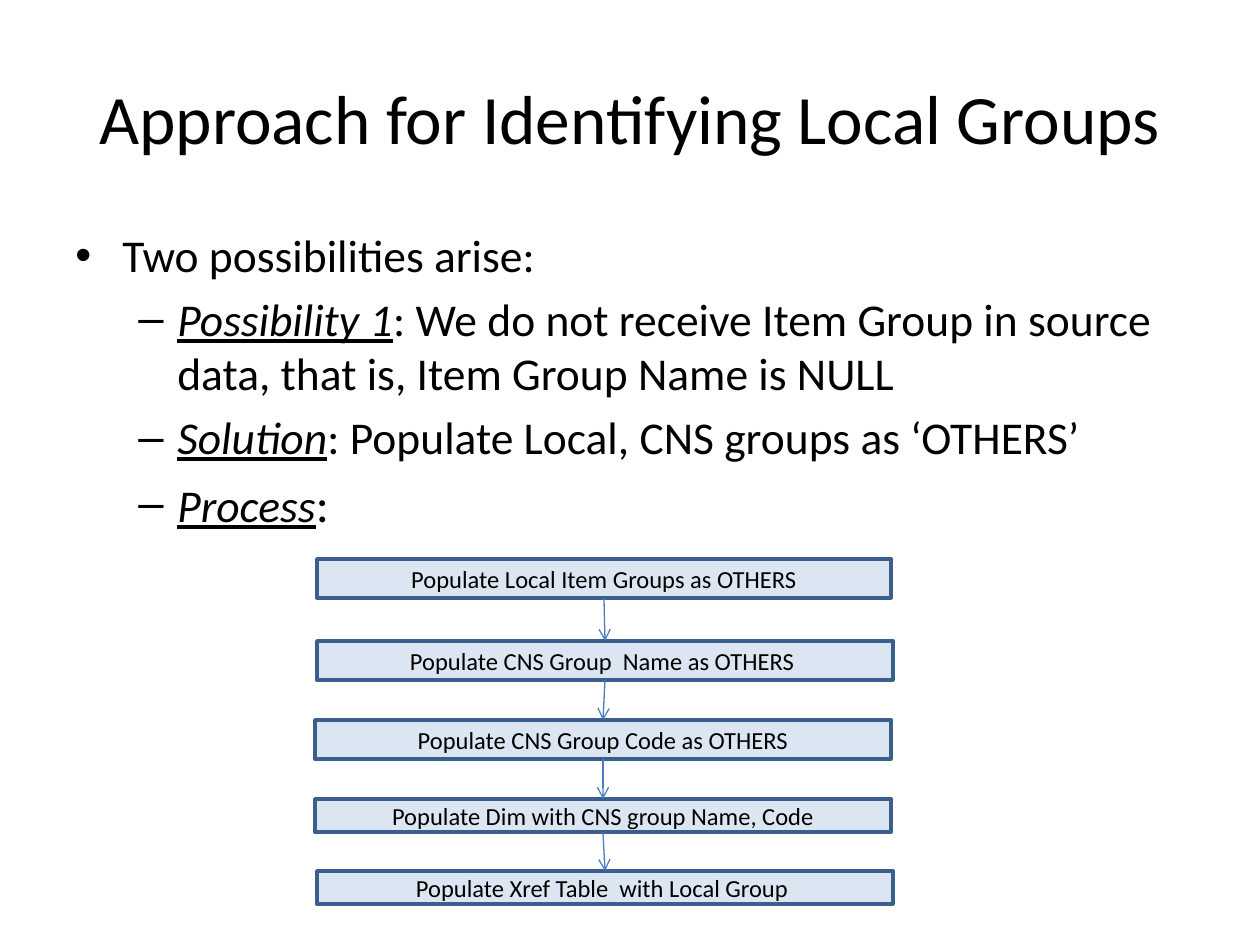
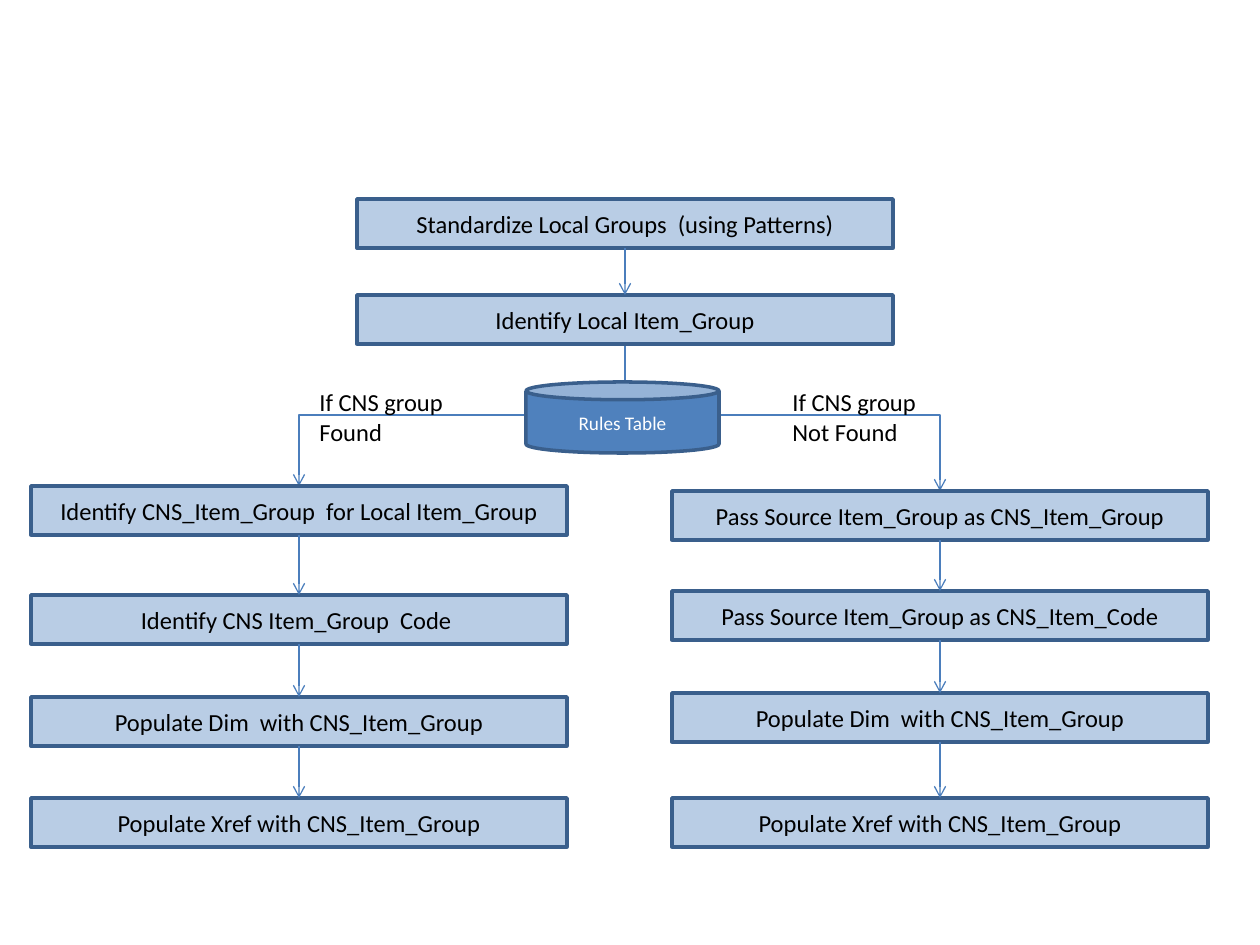
from dataclasses import dataclass
from itertools import pairwise

from lxml.etree import SubElement
from pptx import Presentation
from pptx.dml.color import RGBColor
from pptx.enum.shapes import MSO_CONNECTOR, MSO_SHAPE
from pptx.enum.text import MSO_ANCHOR, MSO_AUTO_SIZE, PP_ALIGN
from pptx.oxml.ns import qn
from pptx.util import Pt

PX = 914400 / 126


@dataclass(frozen=True)
class Theme:
    """Colours, font and type sizes shared by the slides."""
    font: str = "Calibri"
    ink: str = "000000"
    white: str = "FFFFFF"
    pale: str = "DCE6F2"
    soft: str = "B9CDE5"
    strong: str = "4F81BD"
    border: str = "3A5F8C"
    arrow: str = "4B7EBC"
    title: float = 39.6
    body: float = 26
    colon: float = 28
    step: float = 14
    store: float = 11
    border_width: float = 2
    arrow_width: float = 0.75


@dataclass(frozen=True)
class Box:
    """A place on the slide, in pixels."""
    x: int
    y: int
    w: int
    h: int

    def emu(self) -> list[int]:
        """Return left, top, width and height in EMU."""
        return [px(v) for v in (self.x, self.y, self.w, self.h)]


@dataclass(frozen=True)
class Step:
    """One process box of a flow."""
    text: str
    box: Box


@dataclass(frozen=True)
class Bullet:
    """One line of the body: a marked lead, then plain text."""
    lead: str
    text: str
    level: int = 1
    size: float = Theme.body


@dataclass(frozen=True)
class Level:
    """Bullet sign and indents of one outline level."""
    sign: str
    margin: int
    hanging: int


T = Theme()
LEVELS = (Level("•", 47, 47), Level("–", 102, 39))


def px(value: float) -> int:
    """Turn pixels into EMU."""
    return round(value * PX)


def apply(target, **values) -> None:
    """Set each given format value on the target."""
    for name, value in values.items():
        setattr(target, name, value)


def add_run(p, text: str, size: float, color: str = T.ink, **style) -> None:
    """Add a run of text in the theme font."""
    r = p.add_run()
    r.text = text
    apply(r.font, name=T.font, size=Pt(size), **style)
    r.font.color.rgb = RGBColor.from_string(color)


def add_box_text(slide, box: Box, **frame):
    """Add an empty text box and return its frame."""
    tf = slide.shapes.add_textbox(*box.emu()).text_frame
    apply(tf, **frame)
    return tf


def add_title(slide, text: str) -> None:
    """Add the centred slide title."""
    tf = add_box_text(slide, Box(63, 38, 1134, 157), word_wrap=True,
                      vertical_anchor=MSO_ANCHOR.MIDDLE)
    p = tf.paragraphs[0]
    p.alignment = PP_ALIGN.CENTER
    add_run(p, text, T.title)


def add_bullets(slide, box: Box, bullets: list[Bullet]) -> None:
    """Add the bulleted body text."""
    tf = add_box_text(slide, box, word_wrap=True)
    for i, b in enumerate(bullets):
        p = tf.add_paragraph() if i else tf.paragraphs[0]
        apply(p, level=b.level, space_before=Pt(b.size * 0.2))
        level = LEVELS[b.level]
        pPr = p._p.get_or_add_pPr()
        pPr.set("marL", str(px(level.margin)))
        pPr.set("indent", str(-px(level.hanging)))
        SubElement(pPr, qn("a:buFont")).set("typeface", "Arial")
        SubElement(pPr, qn("a:buChar")).set("char", level.sign)
        if b.lead:
            add_run(p, b.lead, T.body, italic=True, underline=True)
        add_run(p, b.text, b.size)


def add_label(slide, box: Box, lines: list[str]) -> None:
    """Add an unwrapped label beside a branch."""
    tf = add_box_text(slide, box, word_wrap=False,
                      auto_size=MSO_AUTO_SIZE.SHAPE_TO_FIT_TEXT)
    for i, line in enumerate(lines):
        p = tf.add_paragraph() if i else tf.paragraphs[0]
        add_run(p, line, T.step)


def add_node(slide, step: Step, fill: str, kind=MSO_SHAPE.RECTANGLE,
             size: float = T.step, color: str = T.ink, **paragraph):
    """Add a filled, outlined shape with centred text."""
    s = slide.shapes.add_shape(kind, *step.box.emu())
    s.shadow.inherit = False
    s.fill.solid()
    s.fill.fore_color.rgb = RGBColor.from_string(fill)
    s.line.color.rgb = RGBColor.from_string(T.border)
    s.line.width = Pt(T.border_width)
    apply(s.text_frame, word_wrap=True, vertical_anchor=MSO_ANCHOR.MIDDLE)
    p = s.text_frame.paragraphs[0]
    apply(p, alignment=PP_ALIGN.CENTER, **paragraph)
    add_run(p, step.text, size, color)
    return s


def style_arrow(c) -> None:
    """Give a connector its line, open arrowhead and no shadow."""
    c.line.color.rgb = RGBColor.from_string(T.arrow)
    c.line.width = Pt(T.arrow_width)
    SubElement(c.line._get_or_add_ln(), qn("a:tailEnd")).set("type", "arrow")
    SubElement(c._element.spPr, qn("a:effectLst"))


def add_flow(slide, steps: list[Step], fill: str) -> None:
    """Add steps and join each to the next, bottom to top."""
    nodes = [add_node(slide, step, fill) for step in steps]
    for upper, lower in pairwise(nodes):
        c = slide.shapes.add_connector(MSO_CONNECTOR.STRAIGHT, 0, 0, 0, 0)
        c.begin_connect(upper, 2)
        c.end_connect(lower, 0)
        style_arrow(c)


def add_elbow(slide, box: Box, preset: str, turn: int = 0) -> None:
    """Add a bent arrow, turned clockwise by whole degrees."""
    x, y, w, h = box.emu()
    c = slide.shapes.add_connector(MSO_CONNECTOR.ELBOW, x, y, x + w, y + h)
    spPr = c._element.spPr
    spPr.find(qn("a:prstGeom")).set("prst", preset)
    if turn:
        spPr.find(qn("a:xfrm")).set("rot", str(turn * 60000))
    style_arrow(c)


def column(x: int, rows: list[tuple[int, str]]) -> list[Step]:
    """Place equal steps in one column at the given tops."""
    return [Step(text, Box(x, y, 536, 49)) for y, text in rows]


def build_null_slide(slide) -> None:
    """Build the case without an item group in the source."""
    add_title(slide, "Approach for Identifying Local Groups")
    add_bullets(slide, Box(63, 221, 1134, 336), [
        Bullet("", "Two possibilities arise:", level=0),
        Bullet("Possibility 1", ": We do not receive Item Group in source "
               "data, that is, Item Group Name is NULL"),
        Bullet("Solution", ": Populate Local, CNS groups as ‘OTHERS’"),
        Bullet("Process", ":", size=T.colon),
    ])
    add_flow(slide, [
        Step("Populate Local Item Groups as OTHERS", Box(317, 559, 574, 39)),
        Step("Populate CNS Group  Name as OTHERS ", Box(317, 641, 576, 39)),
        Step("Populate CNS Group Code as OTHERS", Box(315, 720, 576, 39)),
        Step("Populate Dim with CNS group Name, Code",
             Box(315, 799, 576, 33)),
        Step("Populate Xref Table  with Local Group ",
             Box(317, 871, 576, 33)),
    ], T.pale)


def build_rules_slide(slide) -> None:
    """Build the lookup in the rules table and its two branches."""
    add_elbow(slide, Box(391, 252, 142, 326), "bentConnector3", turn=90)
    add_elbow(slide, Box(499, 415, 441, 76), "bentConnector2")
    last = [(798, "Populate Xref with CNS_Item_Group")]
    dim = "Populate Dim  with CNS_Item_Group"
    flows = [
        column(357, [(199, "Standardize Local Groups  (using Patterns)"),
                     (295, "Identify Local Item_Group")]),
        column(31, [(486, "Identify CNS_Item_Group  for Local Item_Group"),
                    (595, "Identify CNS Item_Group  Code "),
                    (697, dim)] + last),
        column(672, [(491, "Pass Source Item_Group as CNS_Item_Group"),
                     (591, "Pass Source Item_Group as CNS_Item_Code"),
                     (693, dim)] + last),
    ]
    for steps in flows:
        add_flow(slide, steps, T.soft)
    add_node(slide, Step("Rules Table", Box(526, 382, 193, 71)), T.strong,
             MSO_SHAPE.CAN, T.store, T.white,
             line_spacing=1.07, space_after=Pt(8))
    for x, result in ((307, "Found"), (780, "Not Found")):
        add_label(slide, Box(x, 381, 155, 92), ["If CNS group ", result])


def main() -> None:
    """Build and save the presentation."""
    prs = Presentation()
    apply(prs, slide_width=px(1260), slide_height=px(945))
    for build in (build_null_slide, build_rules_slide):
        build(prs.slides.add_slide(prs.slide_layouts[6]))
    prs.save("out.pptx")


main()
